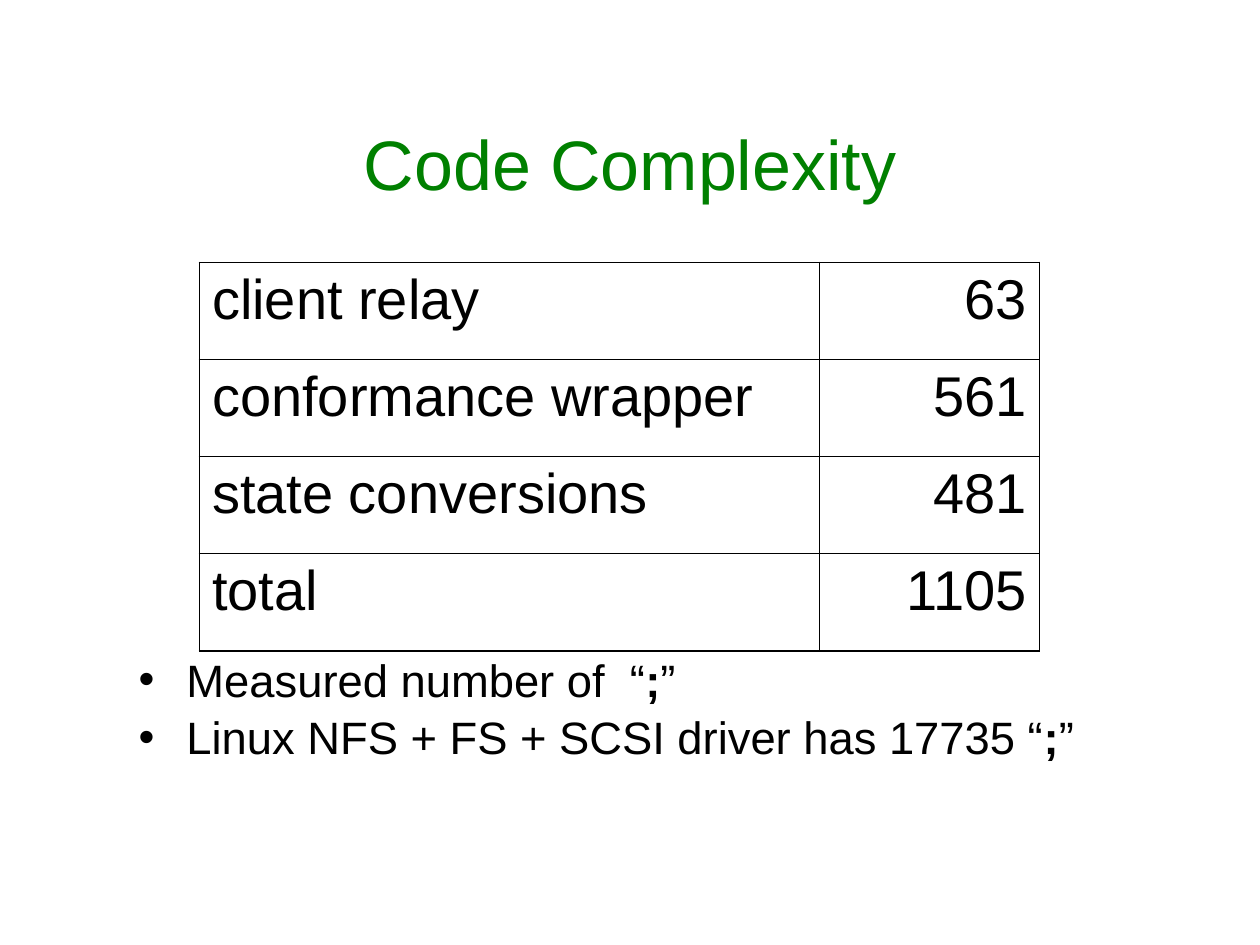
import pptx
import pptx.dml.color
import pptx.enum.text
import pptx.oxml
import pptx.oxml.ns
import pptx.util

GREEN = pptx.dml.color.RGBColor(0x00, 0x80, 0x00)
BLACK = pptx.dml.color.RGBColor(0x00, 0x00, 0x00)
WHITE = pptx.dml.color.RGBColor(0xFF, 0xFF, 0xFF)
ALIGN = pptx.enum.text.PP_ALIGN
ANCHOR = pptx.enum.text.MSO_ANCHOR

COMPONENTS = [
    ("client relay", "63"),
    ("conformance wrapper", "561"),
    ("state conversions", "481"),
    ("total", "1105"),
]
NOTES = ["Measured number of  “", "Linux NFS + FS + SCSI driver has 17735 “"]


def add_text(paragraph, text, size, color=BLACK, bold=False, align=None, font="Arial"):
    run = paragraph.add_run()
    run.text = text
    run.font.name = font
    run.font.size = pptx.util.Pt(size)
    run.font.bold = bold
    run.font.color.rgb = color
    if align is not None:
        paragraph.alignment = align


def set_borders(cell, widths):
    """Draw black cell borders; widths maps L, R, T and B to points."""
    properties = cell._tc.get_or_add_tcPr()
    for position, side in enumerate("LRTB"):
        properties.insert(position, pptx.oxml.parse_xml(
            f'<a:ln{side} {pptx.oxml.ns.nsdecls("a")} w="{pptx.util.Pt(widths[side])}">'
            f'<a:solidFill><a:srgbClr val="{BLACK}"/></a:solidFill></a:ln{side}>'))


class Deck:
    GRID = pptx.util.Inches(1) // 12  # 120 columns by 90 rows
    TITLE_SIZE, TABLE_SIZE, LIST_SIZE = 40, 32, 25.9
    OUTER_LINE, INNER_LINE = 1.08, 0.45

    def __init__(self):
        self.presentation = pptx.Presentation()
        self.presentation.slide_width = 120 * self.GRID
        self.presentation.slide_height = 90 * self.GRID
        layout = self.presentation.slide_layouts[1]
        self.slide = self.presentation.slides.add_slide(layout)
        self.slide.background.fill.solid()
        self.slide.background.fill.fore_color.rgb = WHITE

    def box(self, *cells):
        return [pptx.util.Emu(round(cell * self.GRID)) for cell in cells]

    def placeholder(self, index, area, anchor):
        holder = self.slide.placeholders[index]
        holder.left, holder.top, holder.width, holder.height = self.box(*area)
        frame = holder.text_frame
        frame.auto_size = pptx.enum.text.MSO_AUTO_SIZE.NONE
        frame.word_wrap = True
        frame.vertical_anchor = anchor
        return frame

    def title(self, text, area):
        frame = self.placeholder(0, area, ANCHOR.MIDDLE)
        add_text(frame.paragraphs[0], text, self.TITLE_SIZE, GREEN, align=ALIGN.CENTER)

    def semicolon_list(self, items, area):
        """Bulleted items, each ending in a bold quoted semicolon."""
        frame = self.placeholder(1, area, ANCHOR.TOP)
        hanging = pptx.util.Inches(0.38)
        for number, item in enumerate(items):
            line = frame.add_paragraph() if number else frame.paragraphs[0]
            line.line_spacing = 0.8
            line.space_before = pptx.util.Pt(8 if number else 0)
            properties = line._p.get_or_add_pPr()
            properties.set("marL", str(hanging))
            properties.set("indent", str(-hanging))
            for text, bold in ((item, False), (";", True), ("”", False)):
                add_text(line, text, self.LIST_SIZE, bold=bold)

    def table(self, records, area, columns):
        last_row, last_column = len(records) - 1, len(columns) - 1
        table = self.slide.shapes.add_table(
            len(records), len(columns), *self.box(*area)).table
        table.first_row = table.horz_banding = False
        for column, width in zip(table.columns, self.box(*columns)):
            column.width = width
        for r, record in enumerate(records):
            for c, value in enumerate(record):
                cell = table.cell(r, c)
                cell.fill.background()
                add_text(cell.text_frame.paragraphs[0], value, self.TABLE_SIZE,
                         align=ALIGN.RIGHT if c else ALIGN.LEFT)
                edges = {"L": c == 0, "R": c == last_column,
                         "T": r == 0, "B": r == last_row}
                set_borders(cell, {side: self.OUTER_LINE if outer else self.INNER_LINE
                                   for side, outer in edges.items()})


def main():
    deck = Deck()
    deck.title("Code Complexity", (9, 8, 102, 15))
    deck.semicolon_list(NOTES, (12, 62.5, 100, 15.5))
    deck.table(COMPONENTS, (19, 25, 80, 37), columns=(59, 21))
    deck.presentation.save("out.pptx")


if __name__ == "__main__":
    main()
